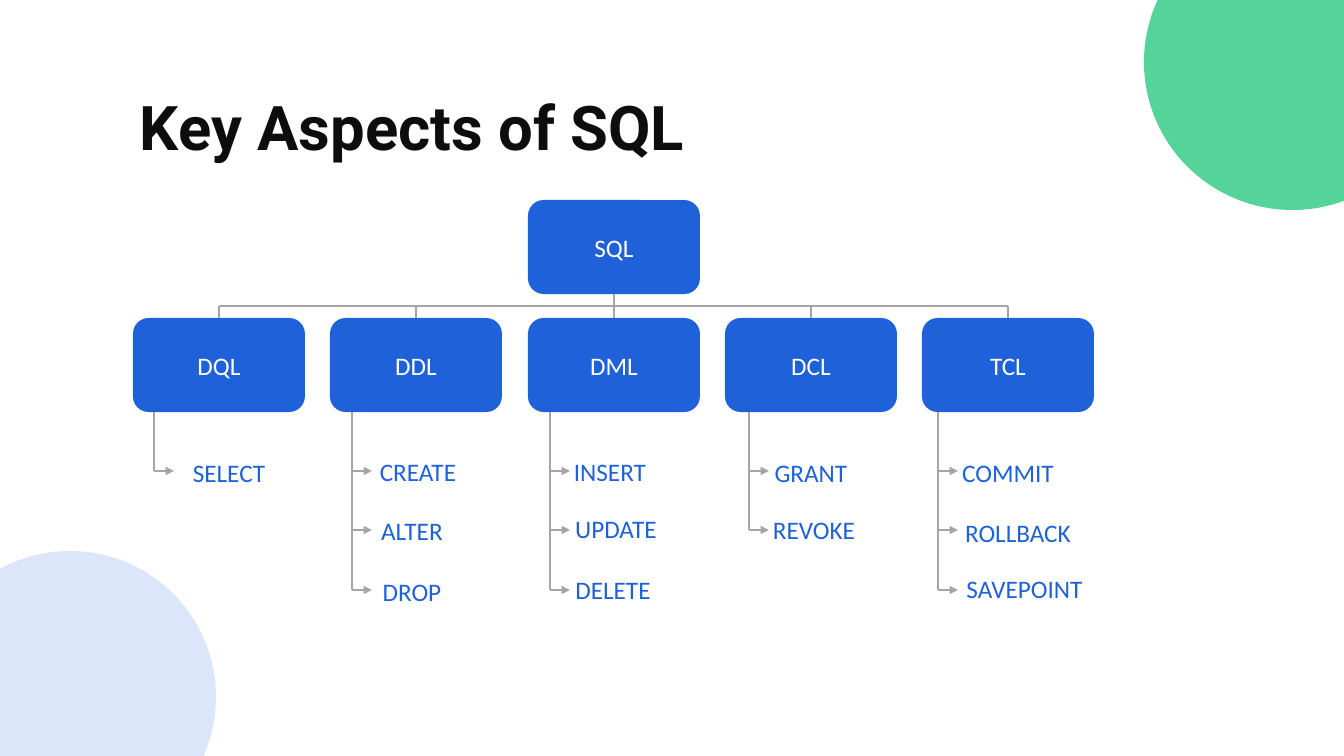
from lxml import etree
from pptx import Presentation
from pptx.dml.color import RGBColor
from pptx.enum.shapes import MSO_CONNECTOR as Line, MSO_SHAPE as Shape
from pptx.enum.text import MSO_ANCHOR as Anchor, MSO_AUTO_SIZE as AutoSize, PP_ALIGN as Align
from pptx.oxml.ns import qn
from pptx.util import Pt

BLUE = RGBColor(0x1F, 0x61, 0xD9)
GREEN = RGBColor(0x54, 0xD4, 0x99)
PALE = RGBColor(0xDC, 0xE6, 0xFA)
GREY = RGBColor(0xA5, 0xA5, 0xA5)
INK = RGBColor(0x0D, 0x0D, 0x0D)
WHITE = RGBColor(0xFF, 0xFF, 0xFF)

# Content, lengths in px
TITLE = "Key Aspects of SQL"
ROOT = "SQL"
CIRCLES = [((1144, -86, 297, 296), GREEN), ((-76, 551, 292, 292), PALE)]
# group, x of its spine, commands with the left and top of each label
GROUPS = [
    ("DQL", 154, [("SELECT", 164, 452)]),
    ("DDL", 352, [("CREATE", 353, 451), ("ALTER", 347, 510), ("DROP", 347, 571)]),
    ("DML", 550, [("INSERT", 545, 451), ("UPDATE", 551, 508), ("DELETE", 548, 569)]),
    ("DCL", 749, [("GRANT", 746, 452), ("REVOKE", 749, 509)]),
    ("TCL", 938, [("COMMIT", 943, 452), ("ROLLBACK", 953, 512), ("SAVEPOINT", 954, 568)]),
]
FIRST_LEFT, LAST_LEFT = 133, 922
ROOT_TOP, GROUP_TOP, BUS_Y = 200, 318, 306
BOX_W, BOX_H = 172, 94
ARROW_YS = [471, 530, 590]
ARROW_LEN = 20
LABEL_W, LONG_LABEL_W, LABEL_H = 130, 141, 40
TOP, BOTTOM = 0, 2

deck = Presentation()


def px(value):
    return round(value * 914400 / 100.8)


deck.slide_width, deck.slide_height = px(1344), px(756)
page = deck.slides.add_slide(deck.slide_layouts[6])


def write(shape, text, size, font, color, align, bold=False):
    frame = shape.text_frame
    frame.word_wrap = True
    para = frame.paragraphs[0]
    para.alignment = align
    span = para.add_run()
    span.text = text
    span.font.size, span.font.name, span.font.bold = Pt(size), font, bold
    span.font.color.rgb = color


def add_solid(kind, place, color):
    shape = page.shapes.add_shape(kind, *map(px, place))
    shape.shadow.inherit = False
    shape.fill.solid()
    shape.fill.fore_color.rgb = color
    shape.line.fill.background()
    return shape


def add_node(text, left, top):
    box = add_solid(Shape.ROUNDED_RECTANGLE, (left, top, BOX_W, BOX_H), BLUE)
    box.text_frame.vertical_anchor = Anchor.MIDDLE
    write(box, text, 18, "Calibri", WHITE, Align.CENTER)
    return box


def add_text(place, *style):
    box = page.shapes.add_textbox(*map(px, place))
    write(box, *style)
    box.text_frame.auto_size = AutoSize.SHAPE_TO_FIT_TEXT


def add_line(x1, y1, x2, y2, arrow=False):
    line = page.shapes.add_connector(Line.STRAIGHT, *map(px, (x1, y1, x2, y2)))
    line.line.color.rgb = GREY
    line.line.width = Pt(1.25)
    properties = line.line._get_or_add_ln()
    if arrow:
        etree.SubElement(properties, qn("a:tailEnd"), type="triangle")
    etree.SubElement(properties.getparent(), qn("a:effectLst"))
    return line


# Corner circles and title
for place, color in CIRCLES:
    add_solid(Shape.OVAL, place, color)
add_text((130, 84, 969, 85), TITLE, 44, "Roboto", INK, Align.LEFT, True)

# Root and group boxes
pitch = (LAST_LEFT - FIRST_LEFT) / (len(GROUPS) - 1)
lefts = [round(FIRST_LEFT + i * pitch) for i in range(len(GROUPS))]
centers = [left + BOX_W // 2 for left in lefts]
middle = len(GROUPS) // 2
root = add_node(ROOT, lefts[middle], ROOT_TOP)
boxes = [add_node(name, left, GROUP_TOP) for (name, _, _), left in zip(GROUPS, lefts)]

# Trunk, bus and drops
for i, (box, x) in enumerate(zip(boxes, centers)):
    if i == middle:
        drop = add_line(x, ROOT_TOP + BOX_H, x, GROUP_TOP)
        drop.begin_connect(root, BOTTOM)
    else:
        drop = add_line(x, BUS_Y, x, GROUP_TOP)
    drop.end_connect(box, TOP)
for end in (centers[0], centers[-1]):
    add_line(centers[middle], BUS_Y, end, BUS_Y)

# Commands under each group
for _, spine, commands in GROUPS:
    start = GROUP_TOP + BOX_H
    for (word, left, top), y in zip(commands, ARROW_YS):
        add_line(spine, start, spine, y)
        add_line(spine, y, spine + ARROW_LEN, y, arrow=True)
        width = LONG_LABEL_W if len(word) > 8 else LABEL_W
        add_text((left, top, width, LABEL_H), word, 18, "Calibri", BLUE, Align.CENTER)
        start = y

deck.save("out.pptx")
